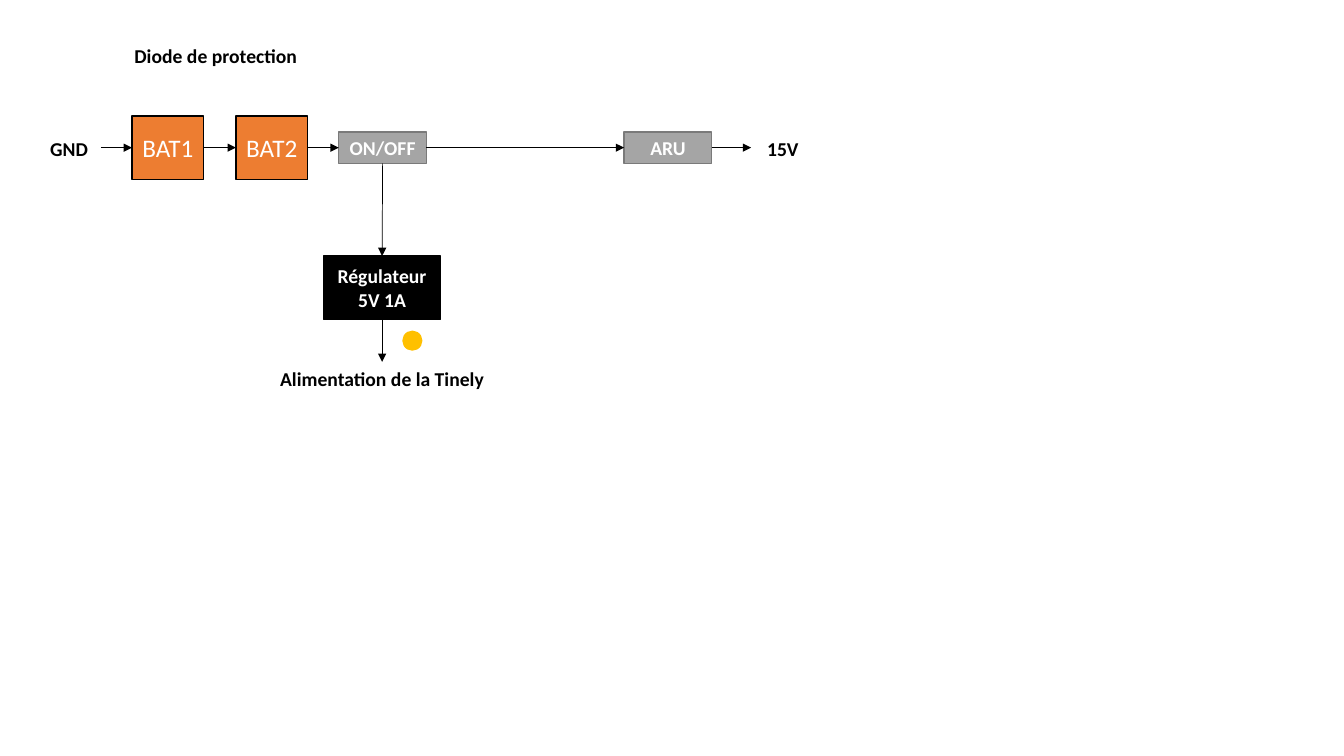
from dataclasses import dataclass

from lxml.etree import SubElement
from pptx import Presentation
from pptx.dml.color import RGBColor
from pptx.enum.shapes import MSO_CONNECTOR as Connector, MSO_SHAPE as Preset
from pptx.enum.text import MSO_ANCHOR as Anchor, PP_ALIGN as Align
from pptx.oxml.ns import qn
from pptx.util import Inches, Pt


@dataclass(frozen=True)
class Theme:
    font: str = "Calibri"
    ink: str = "000000"
    paper: str = "FFFFFF"
    battery: str = "ED7D31"
    switch: str = "A5A5A5"
    switch_edge: str = "7A7A7A"
    led: str = "FFC000"
    label_size: int = 14
    battery_size: int = 18
    edge: float = 1
    wire: float = 0.5


@dataclass(frozen=True)
class Box:
    left: float
    top: float
    width: float
    height: float

    def inner(self, left, top, width, height):
        return Box(self.left + left, self.top + top, width, height)

    def lengths(self):
        return [Inches(n) for n in (self.left, self.top, self.width, self.height)]


THEME = Theme()
TOP, LEFT, BOTTOM, RIGHT = range(4)
LABEL_HEIGHT = 0.34
CAPTION_WIDTH = 2.44


def color(code):
    return RGBColor.from_string(code)


def write(frame, text, size=THEME.label_size, ink=THEME.ink, bold=True):
    frame.word_wrap = True
    for index, line in enumerate(text.split("\n")):
        para = frame.paragraphs[0] if index == 0 else frame.add_paragraph()
        para.alignment = Align.CENTER
        span = para.add_run()
        span.text = line
        span.font.name = THEME.font
        span.font.size = Pt(size)
        span.font.bold = bold
        span.font.color.rgb = color(ink)


def add_label(page, box, text):
    write(page.shapes.add_textbox(*box.lengths()).text_frame, text)


def add_block(page, box, fill, edge=None, preset=Preset.RECTANGLE, text="", **style):
    block = page.shapes.add_shape(preset, *box.lengths())
    block.shadow.inherit = False
    block.fill.solid()
    block.fill.fore_color.rgb = color(fill)
    if edge:
        block.line.color.rgb = color(edge)
        block.line.width = Pt(THEME.edge)
    else:
        block.line.fill.background()
    if text:
        frame = block.text_frame
        frame.margin_left = frame.margin_right = 0
        frame.vertical_anchor = Anchor.MIDDLE
        write(frame, text, ink=THEME.paper, **style)
    return block


def add_arrow(page, start, end, source=None, target=None):
    arrow = page.shapes.add_connector(
        Connector.STRAIGHT, *[Inches(n) for n in (*start, *end)])
    vertical = start[0] == end[0]
    if source:
        arrow.begin_connect(source, BOTTOM if vertical else RIGHT)
    if target:
        arrow.end_connect(target, TOP if vertical else LEFT)
    arrow.line.color.rgb = color(THEME.ink)
    arrow.line.width = Pt(THEME.wire)
    line = arrow.line._get_or_add_ln()
    SubElement(line, qn("a:tailEnd"), type="triangle")
    SubElement(arrow._element.spPr, qn("a:effectLst"))


def supply_row(page, box):
    label_width, label_top = 0.63, 0.16
    battery = dict(fill=THEME.battery, edge=THEME.ink,
                   size=THEME.battery_size, bold=False)
    switch = dict(fill=THEME.switch, edge=THEME.switch_edge)
    parts = [
        ("BAT1", 0.94, 0.71, box.height, battery),
        ("BAT2", 1.97, 0.71, box.height, battery),
        ("ON/OFF", 2.99, 0.87, 0.31, switch),
        ("ARU", 5.82, 0.87, 0.31, switch),
    ]
    middle = box.top + box.height / 2
    end_left = box.width - label_width
    add_label(page, box.inner(0, label_top, label_width, LABEL_HEIGHT), "GND")
    add_label(page, box.inner(end_left, label_top, label_width, LABEL_HEIGHT), "15V")

    blocks = {}
    previous, wire_left = None, box.left + label_width
    for name, left, width, height, style in parts:
        place = box.inner(left, (box.height - height) / 2, width, height)
        block = add_block(page, place, text=name, **style)
        add_arrow(page, (wire_left, middle), (place.left, middle), previous, block)
        blocks[name] = previous = block
        wire_left = place.left + width
    add_arrow(page, (wire_left, middle), (box.left + end_left, middle), previous)
    return blocks["ON/OFF"]


def regulator_branch(page, box, switch):
    width, height, top = 1.16, 0.63, 0.92
    center = box.left + box.width / 2
    place = box.inner((box.width - width) / 2, top, width, height)
    caption_top = box.height - LABEL_HEIGHT
    regulator = add_block(page, place, THEME.ink, THEME.ink, text="Régulateur\n5V 1A")
    add_arrow(page, (center, box.top), (center, place.top), switch, regulator)
    add_arrow(page, (center, place.top + height),
              (center, box.top + caption_top), regulator)
    add_label(page, box.inner(0, caption_top, box.width, LABEL_HEIGHT),
              "Alimentation de la Tinely")
    add_block(page, box.inner(box.width / 2 + 0.2, 1.66, 0.2, 0.2),
              THEME.led, preset=Preset.OVAL)


def power_page(deck):
    page = deck.slides.add_slide(deck.slide_layouts[6])
    add_label(page, Box(0.92, 0.39, CAPTION_WIDTH, LABEL_HEIGHT), "Diode de protection")
    switch = supply_row(page, Box(0.37, 1.15, 7.71, 0.63))
    regulator_branch(page, Box(2.57, 1.62, CAPTION_WIDTH, 2.31), switch)


deck = Presentation()
deck.slide_width, deck.slide_height = Inches(13.33), Inches(7.5)
power_page(deck)
deck.save("out.pptx")
